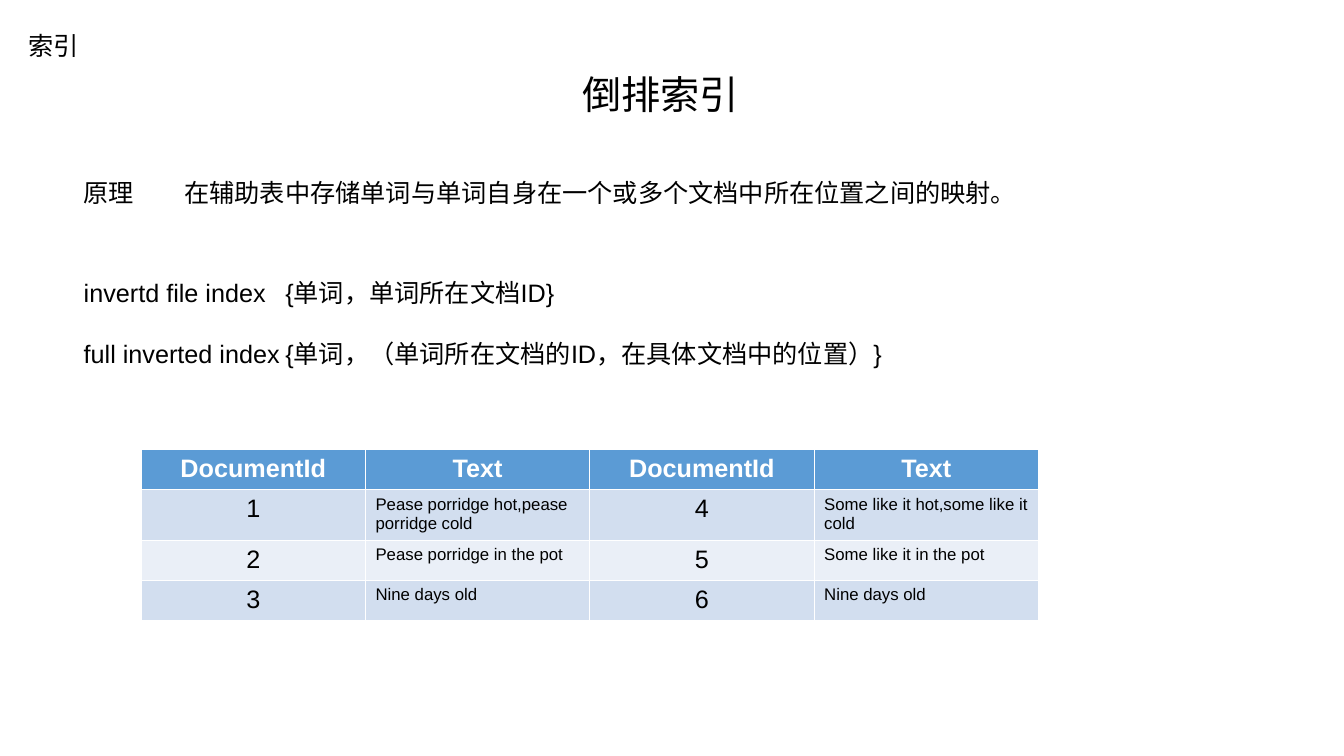
from lxml import etree
from pptx import Presentation
from pptx.dml.color import RGBColor
from pptx.enum import shapes, text
from pptx.oxml import ns
from pptx.util import Inches, Pt

COLORS = {
    "ink": "000000",
    "white": "FFFFFF",
    "fade": "DCDCDC",
    "header": "5B9BD5",
    "odd": "D2DEEF",
    "even": "EAEFF7",
}
FONT = "Arial"
DEFINITIONS = [
    "invertd file index\t{单词，单词所在文档ID}",
    "full inverted index\t{单词，（单词所在文档的ID，在具体文档中的位置）}",
]
DOCUMENTS = [
    ["DocumentId", "Text", "DocumentId", "Text"],
    ["1", "Pease porridge hot,pease porridge cold", "4", "Some like it hot,some like it cold"],
    ["2", "Pease porridge in the pot", "5", "Some like it in the pot"],
    ["3", "Nine days old", "6", "Nine days old"],
]
ROW_HEIGHTS = [0.4, 0.5, 0.4, 0.4]


def color(name):
    return RGBColor.from_string(COLORS[name])


def place(box, left, top, width, height):
    bounds = {"left": left, "top": top, "width": width, "height": height}
    for name, value in bounds.items():
        setattr(box, name, Inches(value))


def write(para, words, size=18, ink="ink", bold=False, align=text.PP_ALIGN.LEFT):
    para.alignment = align
    span = para.add_run()
    span.text = words
    for name, value in {"name": FONT, "size": Pt(size), "bold": bold}.items():
        setattr(span.font, name, value)
    span.font.color.rgb = color(ink)


def set_frame(box, wrap=True):
    """Anchor text at the top and keep the box at its given size."""
    values = {
        "word_wrap": wrap,
        "auto_size": text.MSO_AUTO_SIZE.NONE,
        "vertical_anchor": text.MSO_ANCHOR.TOP,
    }
    for name, value in values.items():
        setattr(box.text_frame, name, value)


def set_tab(para, position):
    """Drop the bullet and set one left tab stop, in inches."""
    properties = para._p.get_or_add_pPr()
    properties.set("marL", "0")
    properties.set("indent", "0")
    etree.SubElement(properties, ns.qn("a:buNone"))
    tabs = etree.SubElement(properties, ns.qn("a:tabLst"))
    etree.SubElement(tabs, ns.qn("a:tab"), pos=str(Inches(position)), algn="l")


def add_backdrop(page):
    fill = page.background.fill
    fill.gradient()
    fill.gradient_angle = 270
    for stop, name in zip(fill.gradient_stops, ["white", "fade"]):
        stop.color.rgb = color(name)
    panel = page.shapes.add_shape(shapes.MSO_SHAPE.RECTANGLE, 0, 0, 0, 0)
    place(panel, -0.03, 0.01, 13.39, 7.49)
    panel.shadow.inherit = False
    panel.fill.solid()
    panel.fill.fore_color.rgb = color("white")
    panel.line.fill.background()
    page.shapes._spTree.insert(2, panel._element)


def add_title(page, words):
    title = page.shapes.title
    place(title, 5.67, 0.65, 1.76, 0.57)
    set_frame(title, wrap=False)
    write(title.text_frame.paragraphs[0], words, size=28, align=text.PP_ALIGN.CENTER)


def add_label(page, words, bounds, wrap=True):
    box = page.shapes.add_textbox(*map(Inches, bounds))
    set_frame(box, wrap)
    para = box.text_frame.paragraphs[0]
    write(para, words)
    return para


def add_definitions(page):
    body = page.placeholders[1]
    place(body, 0.73, 2.7, 8.89, 1.31)
    set_frame(body)
    for index, words in enumerate(DEFINITIONS):
        para = body.text_frame.add_paragraph() if index else body.text_frame.paragraphs[0]
        write(para, words)
        para.space_before = Pt(22 * index)
        set_tab(para, 2.77)


def add_document_table(page):
    bounds = map(Inches, (1.4, 4.46, 8.9, sum(ROW_HEIGHTS)))
    table = page.shapes.add_table(len(DOCUMENTS), len(DOCUMENTS[0]), *bounds).table
    for row_index, (row, height) in enumerate(zip(DOCUMENTS, ROW_HEIGHTS)):
        table.rows[row_index].height = Inches(height)
        is_header = row_index == 0
        band = "header" if is_header else "odd" if row_index % 2 else "even"
        for column, words in enumerate(row):
            cell = table.cell(row_index, column)
            cell.fill.solid()
            cell.fill.fore_color.rgb = color(band)
            is_sentence = column % 2 == 1 and not is_header
            write(
                cell.text_frame.paragraphs[0],
                words,
                size=12 if is_sentence else 18,
                ink="white" if is_header else "ink",
                bold=is_header,
                align=text.PP_ALIGN.LEFT if is_sentence else text.PP_ALIGN.CENTER,
            )


def main():
    deck = Presentation()
    deck.slide_width, deck.slide_height = Inches(13.33), Inches(7.5)
    page = deck.slides.add_slide(deck.slide_layouts[1])
    add_backdrop(page)
    add_label(page, "索引", (0.18, 0.25, 0.7, 0.4), wrap=False)
    add_title(page, "倒排索引")
    principle = add_label(
        page,
        "原理\t在辅助表中存储单词与单词自身在一个或多个文档中所在位置之间的映射。",
        (0.73, 1.71, 10.39, 0.4),
    )
    set_tab(principle, 0.89)
    add_document_table(page)
    add_definitions(page)
    deck.save("out.pptx")


if __name__ == "__main__":
    main()
